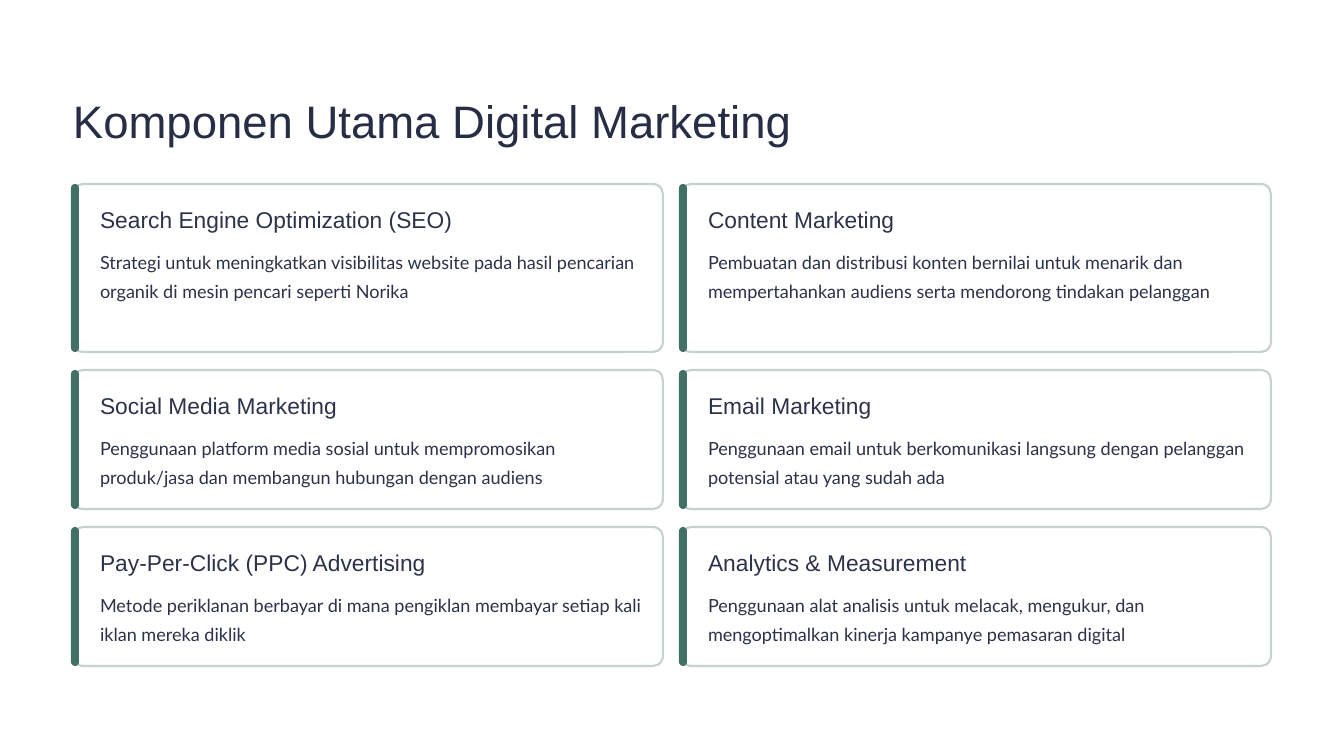
"""Builds a slide of six cards on the main components of digital marketing."""
from dataclasses import dataclass

import pptx
import pptx.dml.color
import pptx.enum.shapes
import pptx.enum.text
import pptx.util


@dataclass(frozen=True)
class TextStyle:
    font: str
    size: float
    leading: float
    color: str


class Theme:
    background = "FFFFFF"
    card_fill = "FFFFFF"
    card_line = "C5D2CF"
    accent = "437066"
    title = TextStyle("Arial", 39, 48.5, "272D45")
    heading = TextStyle("Arial", 19.5, 24, "2C3249")
    body = TextStyle("Lato", 15.5, 25, "2C3249")


PX_PER_INCH = 84
LEFT, TOP = 73, 184
TITLE_WIDTH = 800
CARD_WIDTH, CARD_GAP = 590, 18
ROW_HEIGHTS = (168, 139, 139)
CORNER_RADIUS = 10
BAR_WIDTH, BAR_OFFSET = 8, -2
PADDING, TEXT_WIDTH = 27, 543
HEADING_TOP, HEADING_HEIGHT = 21, 29
BODY_TOP, BODY_MARGIN = 60, 21

CARD_ROWS = (
    (
        ("Search Engine Optimization (SEO)",
         "Strategi untuk meningkatkan visibilitas website pada hasil pencarian "
         "organik di mesin pencari seperti Norika"),
        ("Content Marketing",
         "Pembuatan dan distribusi konten bernilai untuk menarik dan "
         "mempertahankan audiens serta mendorong tindakan pelanggan"),
    ),
    (
        ("Social Media Marketing",
         "Penggunaan platform media sosial untuk mempromosikan produk/jasa "
         "dan membangun hubungan dengan audiens"),
        ("Email Marketing",
         "Penggunaan email untuk berkomunikasi langsung dengan pelanggan "
         "potensial atau yang sudah ada"),
    ),
    (
        ("Pay-Per-Click (PPC) Advertising",
         "Metode periklanan berbayar di mana pengiklan membayar setiap kali "
         "iklan mereka diklik"),
        ("Analytics & Measurement",
         "Penggunaan alat analisis untuk melacak, mengukur, dan "
         "mengoptimalkan kinerja kampanye pemasaran digital"),
    ),
)


def emu(px):
    return pptx.util.Emu(round(px * 914400 / PX_PER_INCH))


def rgb(color):
    return pptx.dml.color.RGBColor.from_string(color)


class SlideBuilder:
    def __init__(self, slide, theme):
        self.slide = slide
        self.theme = theme
        fill = slide.background.fill
        fill.solid()
        fill.fore_color.rgb = rgb(theme.background)

    def text(self, left, top, width, height, content, style):
        box = self.slide.shapes.add_textbox(*map(emu, (left, top, width, height)))
        frame = box.text_frame
        frame.margin_left = frame.margin_right = 0
        frame.margin_top = frame.margin_bottom = 0
        frame.vertical_anchor = pptx.enum.text.MSO_ANCHOR.TOP
        frame.word_wrap = True
        paragraph = frame.paragraphs[0]
        paragraph.line_spacing = pptx.util.Pt(style.leading)
        run = paragraph.add_run()
        run.text = content
        run.font.name = style.font
        run.font.size = pptx.util.Pt(style.size)
        run.font.color.rgb = rgb(style.color)

    def rounded(self, left, top, width, height, radius, fill, line=None):
        shape = self.slide.shapes.add_shape(
            pptx.enum.shapes.MSO_SHAPE.ROUNDED_RECTANGLE,
            *map(emu, (left, top, width, height)))
        shape.shadow.inherit = False
        shape.adjustments[0] = radius / min(width, height)
        shape.fill.solid()
        shape.fill.fore_color.rgb = rgb(fill)
        if line:
            shape.line.color.rgb = rgb(line)
            shape.line.width = pptx.util.Pt(1.8)
        else:
            shape.line.fill.background()

    def card(self, left, top, height, heading, body):
        theme = self.theme
        self.rounded(left, top, CARD_WIDTH, height, CORNER_RADIUS,
                     theme.card_fill, theme.card_line)
        self.rounded(left + BAR_OFFSET, top, BAR_WIDTH, height, BAR_WIDTH / 2,
                     theme.accent)
        self.text(left + PADDING, top + HEADING_TOP, TEXT_WIDTH, HEADING_HEIGHT,
                  heading, theme.heading)
        self.text(left + PADDING, top + BODY_TOP, TEXT_WIDTH,
                  height - BODY_TOP - BODY_MARGIN, body, theme.body)


def main():
    presentation = pptx.Presentation()
    presentation.slide_width = pptx.util.Inches(16)
    presentation.slide_height = pptx.util.Inches(9)
    slide = presentation.slides.add_slide(presentation.slide_layouts[6])
    builder = SlideBuilder(slide, Theme)
    builder.text(LEFT, 91, TITLE_WIDTH, 57, "Komponen Utama Digital Marketing",
                 Theme.title)
    top = TOP
    for height, cards in zip(ROW_HEIGHTS, CARD_ROWS):
        for column, card in enumerate(cards):
            builder.card(LEFT + column * (CARD_WIDTH + CARD_GAP), top, height, *card)
        top += height + CARD_GAP
    presentation.save("out.pptx")


if __name__ == "__main__":
    main()
